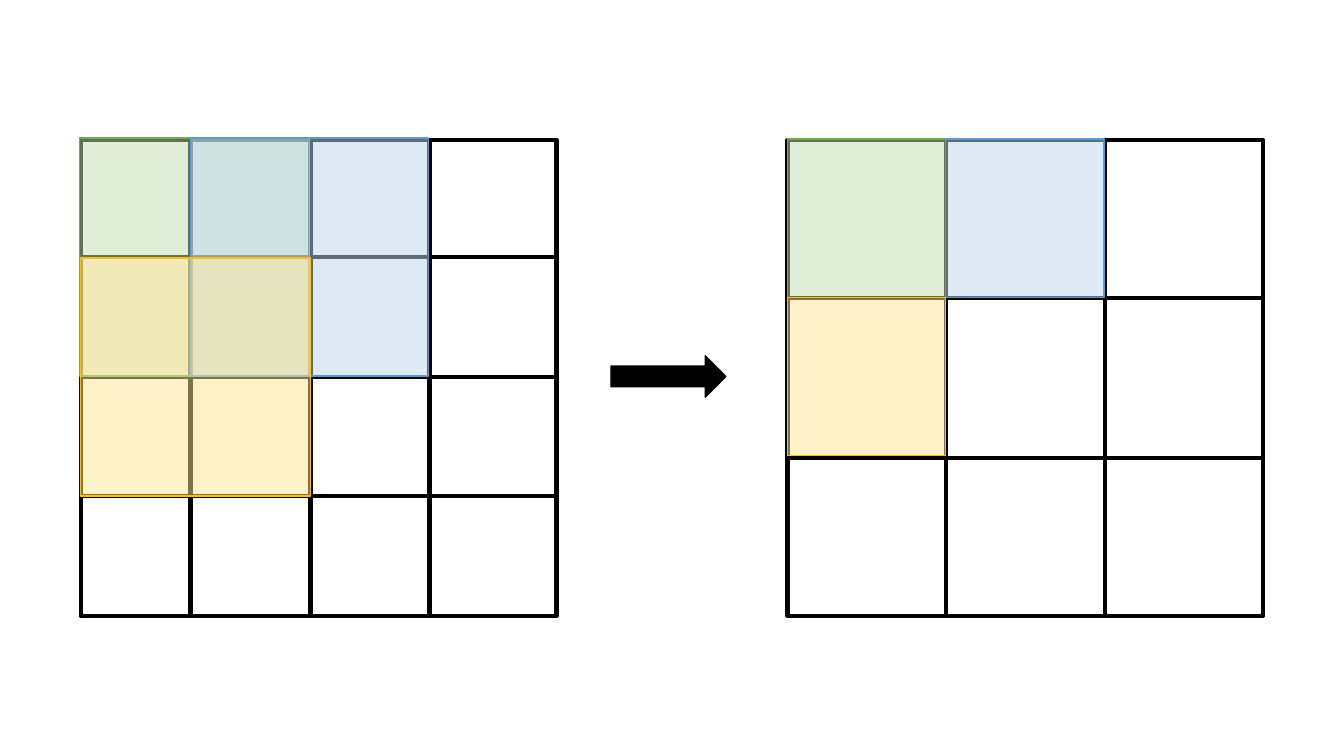
from lxml import etree
from pptx import Presentation
from pptx.dml.color import RGBColor
from pptx.enum.shapes import MSO_CONNECTOR, MSO_SHAPE
from pptx.oxml.ns import qn
from pptx.util import Inches, Pt

RECT = MSO_SHAPE.RECTANGLE
ARROW = MSO_SHAPE.RIGHT_ARROW
STRAIGHT = MSO_CONNECTOR.STRAIGHT

BLACK = RGBColor(0x00, 0x00, 0x00)
WHITE = RGBColor(0xFF, 0xFF, 0xFF)
GREEN = RGBColor(0xC5, 0xE0, 0xB4), RGBColor(0x70, 0xAD, 0x47)
BLUE = RGBColor(0xBD, 0xD7, 0xEE), RGBColor(0x5B, 0x9B, 0xD5)
YELLOW = RGBColor(0xFF, 0xE6, 0x99), RGBColor(0xFF, 0xC0, 0x00)

TOP, SIDE = 1.39, 4.72


def add_box(shapes, kind, x, y, w, h, fill, line, weight):
    s = shapes.add_shape(kind, Inches(x), Inches(y), Inches(w), Inches(h))
    s.shadow.inherit = False
    s.fill.solid()
    s.fill.fore_color.rgb = fill
    s.line.color.rgb = line
    s.line.width = Pt(weight)
    return s


def add_rule(shapes, x1, y1, x2, y2):
    c = shapes.add_connector(STRAIGHT, Inches(x1), Inches(y1), Inches(x2), Inches(y2))
    c.line.color.rgb = BLACK
    c.line.width = Pt(3)
    etree.SubElement(c._element.spPr, qn("a:effectLst"))


prs = Presentation()
prs.slide_width, prs.slide_height = Inches(13.33), Inches(7.5)
slide = prs.slides.add_slide(prs.slide_layouts[6])

# Input grid (4 x 4) and output grid (3 x 3): left, row rules, column rules
grids = [
    (0.8, [2.55, 3.74, 4.92], [1.89, 3.08, 4.26]),
    (7.81, [2.96, 4.54], [9.38, 10.96]),
]
for left, rows, columns in grids:
    grid = slide.shapes.add_group_shape().shapes
    add_box(grid, RECT, left, TOP, SIDE, SIDE, WHITE, BLACK, 3)
    for y in rows:
        add_rule(grid, left, y, left + SIDE, y)
    for x in columns:
        add_rule(grid, x, TOP, x, TOP + SIDE)

# Arrow from input to output
add_box(slide.shapes, ARROW, 6.06, 3.53, 1.14, 0.41, BLACK, BLACK, 1)

# Half-transparent windows on the input and their cells on the output
windows = [
    (0.79, 1.37, 2.28, 2.36, GREEN),
    (1.89, 1.37, 2.36, 2.36, BLUE),
    (0.8, 2.56, 2.28, 2.36, YELLOW),
    (7.81, 1.38, 1.57, 1.57, GREEN),
    (9.38, 1.38, 1.57, 1.57, BLUE),
    (7.81, 2.95, 1.57, 1.57, YELLOW),
]
for x, y, w, h, (fill, line) in windows:
    s = add_box(slide.shapes, RECT, x, y, w, h, fill, line, 1)
    color = s._element.spPr.find(qn("a:solidFill"))[0]
    etree.SubElement(color, qn("a:alpha"), val="50000")

prs.save("out.pptx")
